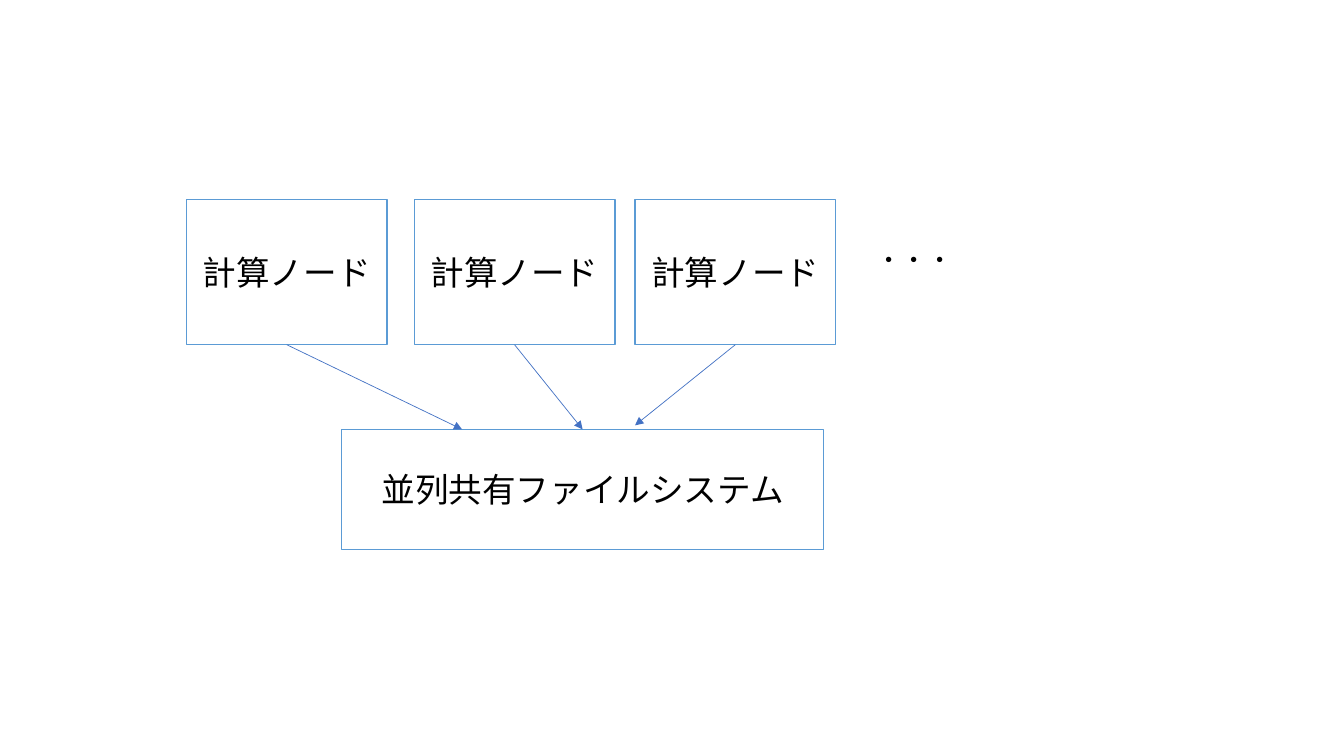
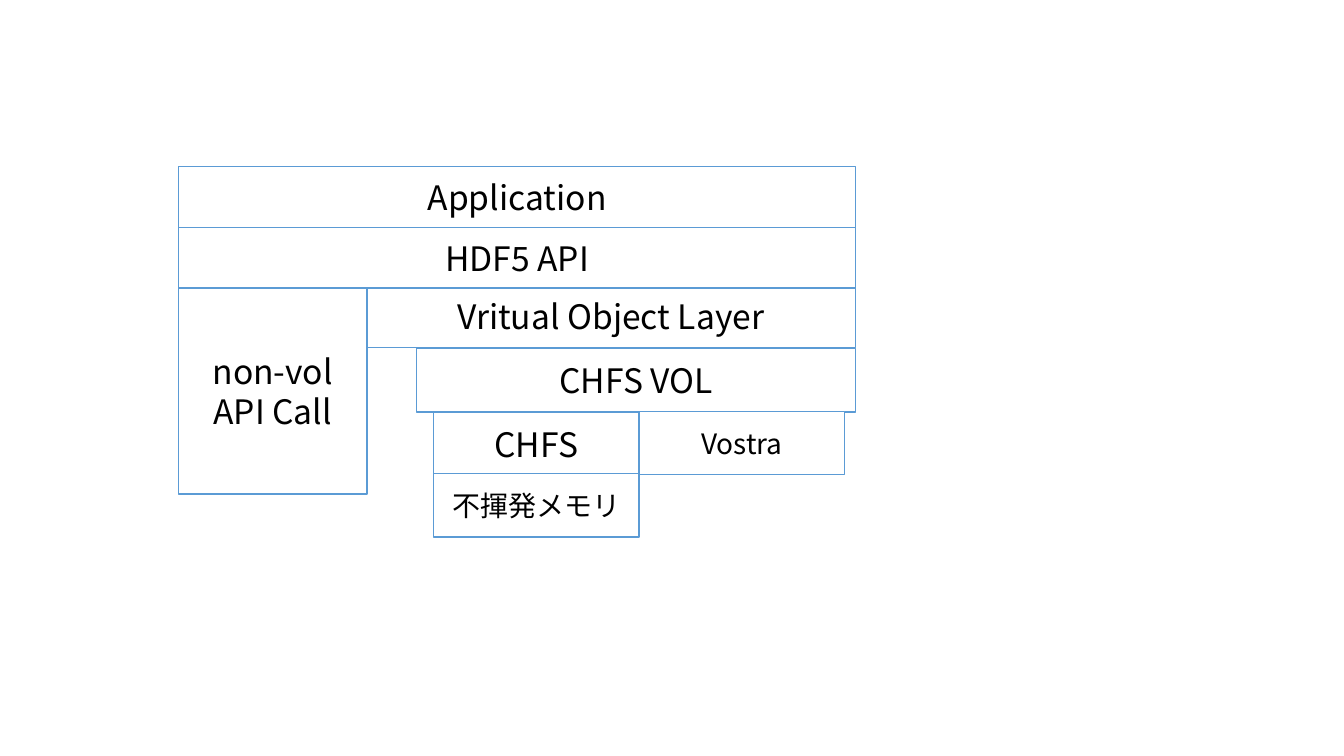
from dataclasses import dataclass

from lxml.etree import SubElement as Sub
from pptx import Presentation as Deck
from pptx.dml.color import RGBColor as Color
from pptx.enum.shapes import MSO_CONNECTOR as Link, MSO_SHAPE as Form
from pptx.enum.text import MSO_ANCHOR as Anchor, MSO_AUTO_SIZE as Fit, PP_ALIGN as Align
from pptx.oxml.ns import qn
from pptx.slide import Slide
from pptx.text.text import TextFrame as Frame
from pptx.util import Inches, Pt

WIDE, HIGH = Inches(40 / 3), Inches(7.5)
COLS, ROWS = 40, 30


@dataclass(frozen=True)
class Theme:
    """Colours, font, type sizes and line widths of the deck."""
    paper: Color = Color.from_string("FFFFFF")
    ink: Color = Color.from_string("000000")
    edge: Color = Color.from_string("5B9BD5")
    arrow: Color = Color.from_string("4472C4")
    font: str = "Noto Sans CJK JP"
    large: int = 24
    mid: int = 20
    small: int = 18
    rule: float = 1
    thin: float = 0.5


@dataclass(frozen=True)
class Box:
    """A labelled area, in grid columns and rows."""
    text: str
    left: float
    top: float
    width: float
    height: float
    size: int = Theme.large

    @property
    def mid(self) -> float:
        """Column of the centre."""
        return self.left + self.width / 2

    @property
    def base(self) -> float:
        """Row of the lower edge."""
        return self.top + self.height


def col(count: float) -> int:
    """Turn grid columns into a length."""
    return round(WIDE * count / COLS)


def row(count: float) -> int:
    """Turn grid rows into a length."""
    return round(HIGH * count / ROWS)


def area(box: Box) -> tuple[int, int, int, int]:
    """Give the place and size of a box as lengths."""
    return col(box.left), row(box.top), col(box.width), row(box.height)


def write(frame: Frame, box: Box, align: Align) -> None:
    """Put the label of a box in a frame and style it."""
    frame.text = box.text
    frame.word_wrap = True
    for para in frame.paragraphs:
        para.alignment = align
        for run in para.runs:
            font = run.font
            font.name, font.size = theme.font, Pt(box.size)
            font.color.rgb = theme.ink
            Sub(run._r.get_or_add_rPr(), qn("a:ea"), typeface=theme.font)


def block(slide: Slide, box: Box) -> None:
    """Draw an outlined box with a centred label."""
    shape = slide.shapes.add_shape(Form.RECTANGLE, *area(box))
    shape.shadow.inherit = False
    shape.fill.solid()
    shape.fill.fore_color.rgb = theme.paper
    shape.line.color.rgb = theme.edge
    shape.line.width = Pt(theme.rule)
    shape.text_frame.vertical_anchor = Anchor.MIDDLE
    write(shape.text_frame, box, Align.CENTER)


def label(slide: Slide, box: Box) -> None:
    """Draw text without an outline."""
    frame = slide.shapes.add_textbox(*area(box)).text_frame
    write(frame, box, Align.LEFT)
    frame.auto_size = Fit.SHAPE_TO_FIT_TEXT


def arrow(slide: Slide, start: tuple[float, float], end: tuple[float, float]) -> None:
    """Draw a thin arrow between two grid points."""
    line = slide.shapes.add_connector(
        Link.STRAIGHT, col(start[0]), row(start[1]), col(end[0]), row(end[1]))
    line.line.color.rgb = theme.arrow
    line.line.width = Pt(theme.thin)
    Sub(line.line._get_or_add_ln(), qn("a:tailEnd"), type="triangle")
    Sub(line._element.spPr, qn("a:effectLst"))


def cluster(slide: Slide) -> None:
    """Show the compute nodes above their shared file system."""
    nodes = [Box("計算ノード", left, 7.92, 5.97, 5.76) for left in (5.55, 12.33, 18.9)]
    store = Box("並列共有ファイルシステム", 10.17, 17.04, 14.34, 4.76)
    for box in (*nodes, store):
        block(slide, box)
    label(slide, Box("・・・", 25.8, 9.48, 4.98, 1.6, theme.small))
    ends = ((store.left + store.width / 4, store.top),
            (store.mid, store.top),
            (nodes[-1].left, store.top - 0.16))
    for node, end in zip(nodes, ends):
        arrow(slide, (node.mid, node.base), end)


def stack(slide: Slide) -> None:
    """Show the software layers from application to storage."""
    left, full, half, tall = 5.31, 20.16, 6.12, 2.52
    right = left + full
    layer, plug, leaf = 10.89, 12.39, 12.9
    for box in (
        Box("Application", left, 6.6, full, 2.44),
        Box("Vritual Object Layer", layer, 11.28, right - layer, tall),
        Box("HDF5 API", left, 9.04, full, 2.4),
        Box("non-vol\nAPI Call", left, 11.44, 5.61, 8.16),
        Box("CHFS VOL", plug, 13.84, right - plug, tall),
        Box("CHFS", leaf, 16.36, half, tall),
        Box("不揮発メモリ", leaf, 18.8, half, tall, theme.mid),
        Box("Vostra", leaf + half, 16.32, half, tall, theme.mid),
    ):
        block(slide, box)


theme = Theme()
deck = Deck()
deck.slide_width, deck.slide_height = WIDE, HIGH
blank = deck.slide_layouts[6]
for draw in (cluster, stack):
    draw(deck.slides.add_slide(blank))
deck.save("out.pptx")
